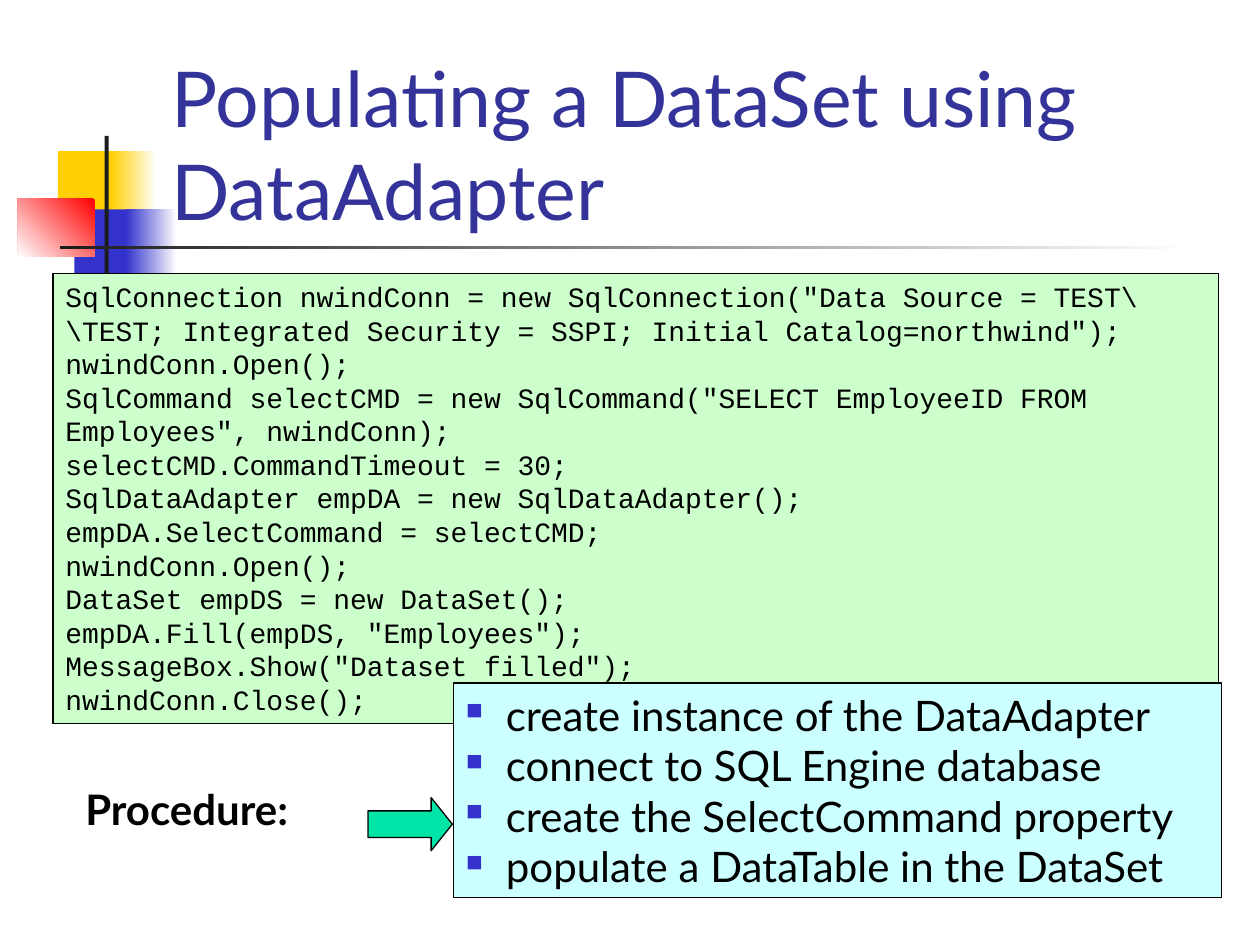
import pptx
import pptx.util
import pptx.dml.color
import pptx.enum.shapes
import pptx.enum.text
from lxml import etree
from pptx.util import Cm, Pt

SHAPE = pptx.enum.shapes.MSO_SHAPE
ANCHOR = pptx.enum.text.MSO_ANCHOR

# Content
TITLE = "Populating a DataSet using DataAdapter"
CODE = [
    'SqlConnection nwindConn = new SqlConnection("Data Source = TEST\\\\TEST; '
    'Integrated Security = SSPI; Initial Catalog=northwind");',
    "nwindConn.Open();",
    'SqlCommand selectCMD = new SqlCommand("SELECT EmployeeID FROM Employees", nwindConn);',
    "selectCMD.CommandTimeout = 30;",
    "SqlDataAdapter empDA = new SqlDataAdapter();",
    "empDA.SelectCommand = selectCMD;",
    "nwindConn.Open();",
    "DataSet empDS = new DataSet();",
    'empDA.Fill(empDS, "Employees");',
    'MessageBox.Show("Dataset filled");',
    "nwindConn.Close();",
]
LABEL = "Procedure:"
STEPS = [
    "create instance of the DataAdapter",
    "connect to SQL Engine database",
    "create the SelectCommand property",
    "populate a DataTable in the DataSet",
]
# Decoration: left, top, width, height in cm; colours; gradient angle
DECORATION = [
    ((1.17, 3.05, 1.22, 1.32), ["FFCF01"], 0),
    ((2.24, 3.05, 0.91, 1.32), ["FFFFFF", "FFCF01"], 180),
    ((1.5, 4.22, 1.17, 1.32), ["3333CC"], 0),
    ((2.54, 4.22, 1.02, 1.32), ["FFFFFF", "3333CC"], 180),
    ((0.36, 4.01, 1.55, 1.17), ["FF0000", "FFFFFF"], 225),
    ((2.11, 2.74, 0.08, 2.92), ["1C1C1C"], 0),
    ((1.22, 4.95, 22.86, 0.08), ["FFFFFF", "1C1C1C"], 180),
]


def rgb(colour):
    return pptx.dml.color.RGBColor.from_string(colour)


def add_block(slide, box, colours, angle=0, outlined=False, kind=SHAPE.RECTANGLE):
    shape = slide.shapes.add_shape(kind, *map(Cm, box))
    shape.shadow.inherit = False
    if len(colours) == 1:
        shape.fill.solid()
        shape.fill.fore_color.rgb = rgb(colours[0])
    else:
        shape.fill.gradient()
        shape.fill.gradient_angle = angle
        for stop, colour in zip(shape.fill.gradient_stops, colours):
            stop.color.rgb = rgb(colour)
    if outlined:
        shape.line.color.rgb = rgb("000000")
        shape.line.width = Pt(0.75)
    else:
        shape.line.fill.background()
    return shape


def write(shape, lines, font, size, colour="000000", bold=False, anchor=ANCHOR.TOP):
    frame = shape.text_frame
    frame.word_wrap = True
    frame.vertical_anchor = anchor
    frame.text = "\n".join(lines)
    for paragraph in frame.paragraphs:
        paragraph.alignment = pptx.enum.text.PP_ALIGN.LEFT
        paragraph.font.name = font
        paragraph.font.size = Pt(size)
        paragraph.font.bold = bold
        paragraph.font.color.rgb = rgb(colour)


def add_bullet(paragraph, colour, indent):
    properties = paragraph._p.get_or_add_pPr()
    properties.set("marL", str(indent))
    properties.set("indent", str(-indent))
    namespace = "{http://schemas.openxmlformats.org/drawingml/2006/main}"
    bullet_colour = etree.Element(namespace + "buClr")
    etree.SubElement(bullet_colour, namespace + "srgbClr", val=colour)
    bullet_size = etree.Element(namespace + "buSzPct", val="55000")
    bullet = etree.Element(namespace + "buChar", char="■")
    # Bullet settings come before the default run properties
    for position, element in enumerate((bullet_colour, bullet_size, bullet)):
        properties.insert(position, element)


presentation = pptx.Presentation()
presentation.slide_width, presentation.slide_height = Cm(25.4), Cm(19.05)
slide = presentation.slides.add_slide(presentation.slide_layouts[5])

# Decoration
for box, colours, angle in DECORATION:
    add_block(slide, box, colours, angle)

# Title
title = slide.shapes.title
title.left, title.top, title.width, title.height = map(Cm, (3.2, 1.7, 21.64, 3.18))
write(title, [TITLE], "Lato", 44, "333399", anchor=ANCHOR.BOTTOM)

# Code listing
code = add_block(slide, (1.07, 5.51, 23.5, 9.07), ["CCFFCC"], outlined=True)
write(code, CODE, "Courier New", 16)

# Procedure steps
steps = add_block(slide, (9.14, 13.77, 15.49, 4.32), ["CCFFFF"], outlined=True)
write(steps, STEPS, "Lato", 24)
for paragraph in steps.text_frame.paragraphs:
    add_bullet(paragraph, "3333CC", Cm(0.81))

# Label and arrow
label = slide.shapes.add_textbox(*map(Cm, (1.47, 15.67, 6.99, 1.27)))
write(label, [LABEL], "Lato", 24, bold=True)
arrow = add_block(slide, (7.42, 16.08, 1.7, 1.07), ["00E4A8"], outlined=True,
                  kind=SHAPE.RIGHT_ARROW)
arrow.adjustments[0], arrow.adjustments[1] = 0.5, 0.4

presentation.save("out.pptx")
